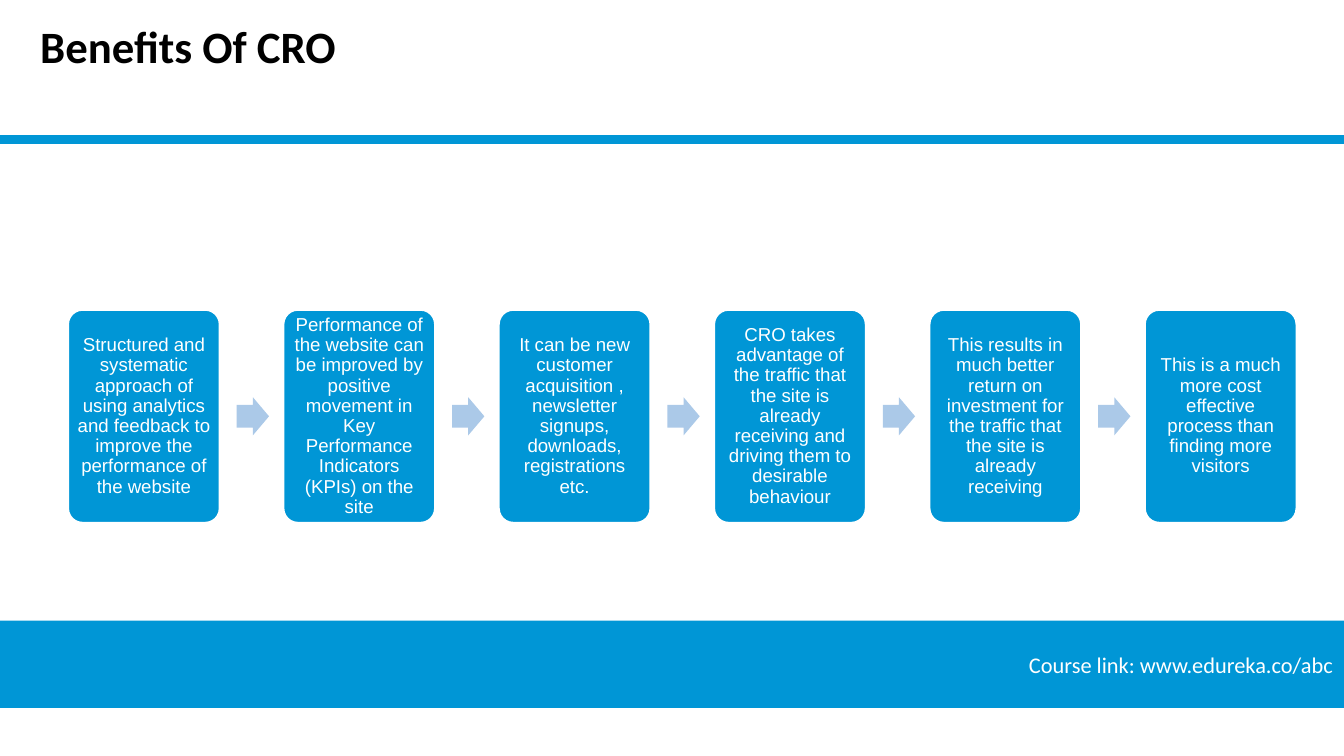
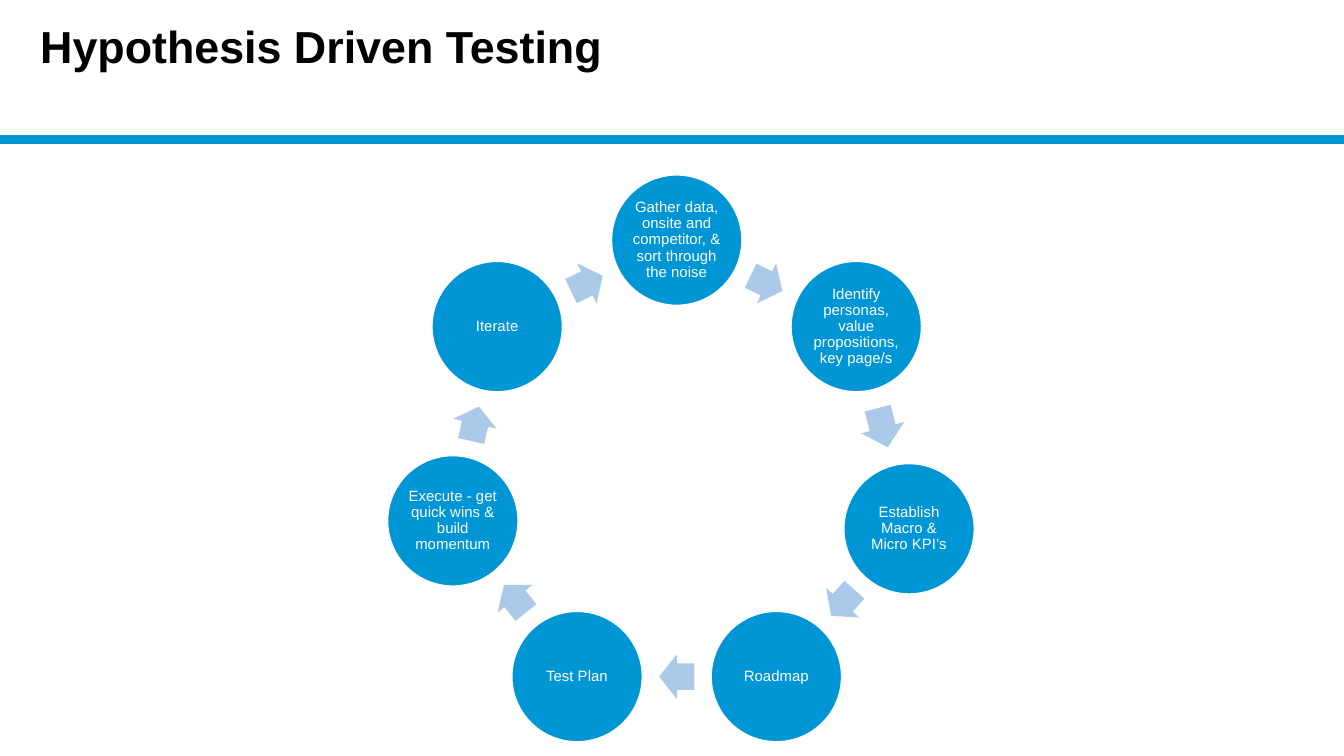
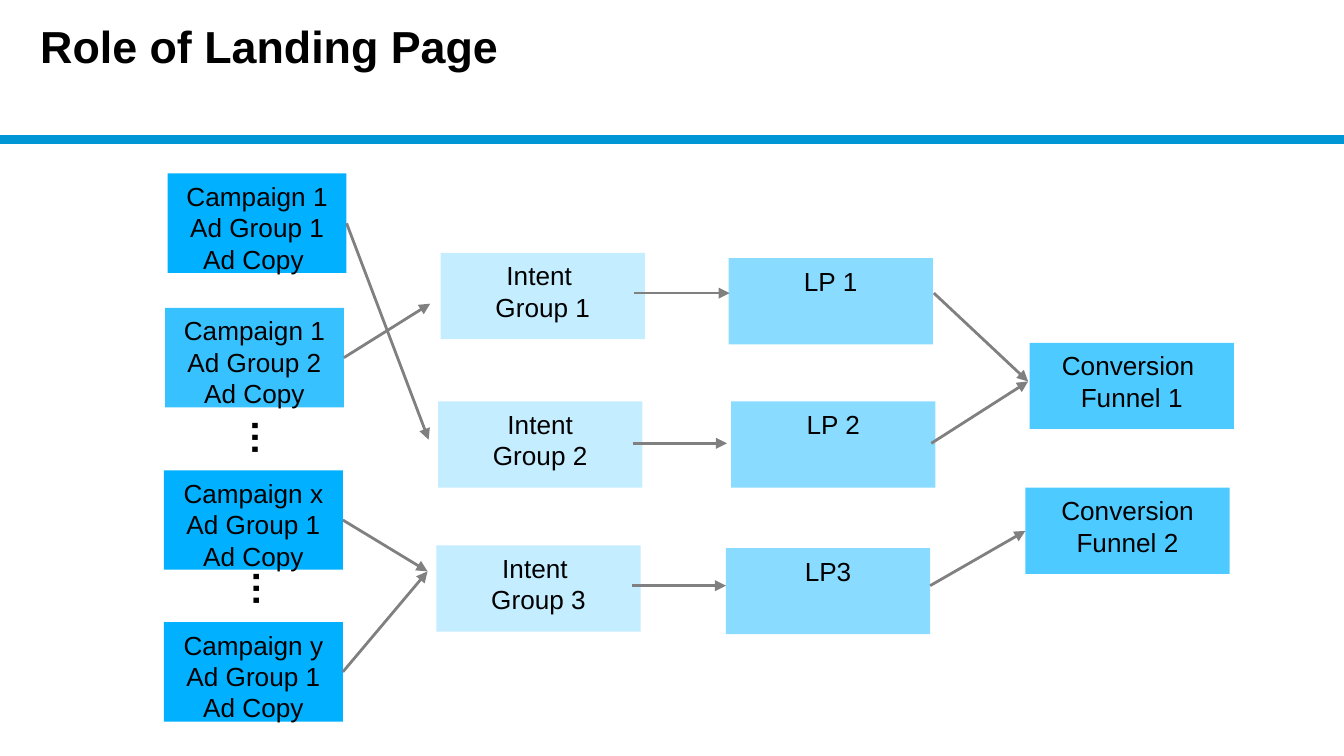
import math
from dataclasses import dataclass

import pptx
import pptx.dml.color
import pptx.enum.shapes
import pptx.enum.text
import pptx.oxml.ns
import pptx.util
from lxml import etree
from pptx.util import Cm

SHAPES = pptx.enum.shapes.MSO_SHAPE
ALIGN = pptx.enum.text.PP_ALIGN
ANCHOR = pptx.enum.text.MSO_ANCHOR
LEFT_SIDE, RIGHT_SIDE = 1, 3
SLIDE_WIDTH, SLIDE_HEIGHT = 25.4, 14.29


@dataclass(frozen=True)
class Theme:
    blue: str = "0096D6"
    pale_arrow: str = "ABC9E8"
    grey: str = "808080"
    white: str = "FFFFFF"
    black: str = "000000"
    campaign: str = "01B0FF"
    campaign_light: str = "37C1FF"
    intent: str = "C4EDFF"
    landing: str = "89DCFF"
    funnel: str = "4DCAFF"
    body_font: str = "Arial"
    accent_font: str = "Calibri"
    title_size: int = 24
    dots_size: int = 20
    flow_size: int = 14
    footer_size: int = 12
    step_size: int = 10
    cycle_size: int = 8


def rgb(color):
    return pptx.dml.color.RGBColor.from_string(color)


class Deck:
    def __init__(self, theme):
        self.theme = theme
        self.presentation = pptx.Presentation()
        self.presentation.slide_width = Cm(SLIDE_WIDTH)
        self.presentation.slide_height = Cm(SLIDE_HEIGHT)
        self.slide = None

    def start_slide(self, title, font=None, title_width=22.56):
        """Add a slide with its title and the rule below it."""
        self.slide = self.presentation.slides.add_slide(self.presentation.slide_layouts[6])
        box = self.slide.shapes.add_textbox(Cm(0.51), Cm(0.23), Cm(title_width), Cm(1.19))
        box.text_frame.word_wrap = True
        self.set_text(box, title, self.theme.title_size, self.theme.black, font, bold=True)
        self.line((0, 2.64), (SLIDE_WIDTH, 2.64), self.theme.blue, 4.5)

    def set_text(self, shape, text, size, color, font=None, align=ALIGN.LEFT, bold=False, spacing=None):
        shape.text_frame.text = text
        for paragraph in shape.text_frame.paragraphs:
            paragraph.alignment = align
            paragraph.line_spacing = spacing
            for run in paragraph.runs:
                run.font.name = font or self.theme.body_font
                run.font.size = pptx.util.Pt(size)
                run.font.bold = bold
                run.font.color.rgb = rgb(color)

    def shape(self, kind, left, top, width, height, fill, outline=None, adjustments=(), rotation=0):
        shape = self.slide.shapes.add_shape(kind, Cm(left), Cm(top), Cm(width), Cm(height))
        shape.shadow.inherit = False
        shape.fill.solid()
        shape.fill.fore_color.rgb = rgb(fill)
        if outline:
            shape.line.color.rgb = rgb(outline)
            shape.line.width = pptx.util.Pt(2)
        else:
            shape.line.fill.background()
        for index, value in enumerate(adjustments):
            shape.adjustments[index] = value
        shape.rotation = rotation
        return shape

    def inset(self, shape, across, down, anchor=ANCHOR.MIDDLE):
        """Set the text margins and the vertical anchor of a shape."""
        frame = shape.text_frame
        frame.word_wrap = True
        frame.margin_left = frame.margin_right = Cm(across)
        frame.margin_top = frame.margin_bottom = Cm(down)
        frame.vertical_anchor = anchor

    def node(self, kind, left, top, width, height, text, size, margin, adjustments=()):
        """Add a white-edged blue step with centred text."""
        shape = self.shape(kind, left, top, width, height, self.theme.blue, self.theme.white, adjustments)
        self.inset(shape, margin, margin)
        self.set_text(shape, text, size, self.theme.white, align=ALIGN.CENTER, spacing=0.9)

    def block_arrow(self, center_x, center_y, width, height, rotation=0):
        self.shape(SHAPES.RIGHT_ARROW, center_x - width / 2, center_y - height / 2, width, height,
                   self.theme.pale_arrow, adjustments=(0.6, 0.5), rotation=rotation)

    def flow_box(self, left, top, width, height, fill, text):
        shape = self.shape(SHAPES.RECTANGLE, left, top, width, height, fill)
        self.inset(shape, 0.25, 0.13, ANCHOR.TOP)
        self.set_text(shape, text, self.theme.flow_size, self.theme.black, align=ALIGN.CENTER)
        return shape

    def line(self, start, end, color, width, arrow=False):
        connector = self.slide.shapes.add_connector(
            pptx.enum.shapes.MSO_CONNECTOR.STRAIGHT, *(Cm(value) for value in (*start, *end)))
        connector.line.color.rgb = rgb(color)
        connector.line.width = pptx.util.Pt(width)
        properties = connector.element.spPr
        if arrow:
            etree.SubElement(properties.get_or_add_ln(), pptx.oxml.ns.qn("a:tailEnd"), type="triangle")
        etree.SubElement(properties, pptx.oxml.ns.qn("a:effectLst"))
        return connector

    def flow_arrow(self, start, end):
        return self.line(start, end, self.theme.grey, 1.5, arrow=True)

    def vertical_dots(self, left, top):
        box = self.slide.shapes.add_textbox(Cm(left), Cm(top), Cm(0.66), Cm(1.27))
        self.inset(box, 0.13, 0.13, ANCHOR.TOP)
        box.text_frame.word_wrap = False
        box.text_frame.auto_size = pptx.enum.text.MSO_AUTO_SIZE.SHAPE_TO_FIT_TEXT
        box.element.xpath("./p:txBody/a:bodyPr")[0].set("vert", "vert270")
        self.set_text(box, "…", self.theme.dots_size, self.theme.black, bold=True)

    def footer(self, text):
        band = self.shape(SHAPES.RECTANGLE, 0, 11.73, SLIDE_WIDTH, 1.65, self.theme.blue)
        self.inset(band, 0.2, 0.1)
        self.set_text(band, text, self.theme.footer_size, self.theme.white, self.theme.accent_font, ALIGN.RIGHT)


def add_benefits(deck):
    deck.start_slide("Benefits Of CRO", deck.theme.accent_font, title_width=24.89)
    deck.footer("Course link: www.edureka.co/abc")
    benefits = [
        "Structured and systematic approach of using analytics and feedback to improve the performance of the website",
        "Performance of the website can be improved by positive movement in Key Performance Indicators (KPIs) on the site",
        "It can be new customer acquisition , newsletter signups, downloads, registrations etc.",
        "CRO takes advantage of the traffic that the site is already receiving and driving them to desirable behaviour",
        "This results in much better return on investment for the traffic that the site is already receiving",
        "This is a much more cost effective process than finding more visitors",
    ]
    pitch, width, height, top = 4.07, 2.9, 4.06, 5.84
    for index, benefit in enumerate(benefits):
        left = 1.27 + index * pitch
        if index:
            deck.block_arrow(left - 0.56, top + height / 2, 0.61, 0.72)
        deck.node(SHAPES.ROUNDED_RECTANGLE, left, top, width, height, benefit,
                  deck.theme.step_size, 0.1, adjustments=(0.1,))


def add_testing_cycle(deck):
    deck.start_slide("Hypothesis Driven Testing")
    steps = [
        "Gather data, onsite and competitor, & sort through the noise",
        "Identify personas, value propositions, key page/s",
        "Establish Macro & Micro KPI’s",
        "Roadmap",
        "Test Plan",
        "Execute - get quick wins & build momentum",
        "Iterate",
    ]
    nudges = {2: (0.16, 0.15)}
    radius, diameter = 4.34, 2.51
    centers = []
    for index in range(len(steps)):
        angle = math.tau * index / len(steps)
        shift_x, shift_y = nudges.get(index, (0, 0))
        centers.append((12.79 + radius * math.sin(angle) + shift_x,
                        8.88 - radius * math.cos(angle) + shift_y))
    for step, (x, y), (next_x, next_y) in zip(steps, centers, centers[1:] + centers[:1]):
        deck.node(SHAPES.OVAL, x - diameter / 2, y - diameter / 2, diameter, diameter, step,
                  deck.theme.cycle_size, 0.03)
        gap = math.hypot(next_x - x, next_y - y) - diameter
        direction = math.degrees(math.atan2(next_y - y, next_x - x)) % 360
        deck.block_arrow((x + next_x) / 2, (y + next_y) / 2, 0.53 * gap, 0.84, direction)


def add_landing_page_flow(deck):
    deck.start_slide("Role of Landing Page")
    theme = deck.theme
    campaigns = [
        (3.17, 3.28, theme.campaign, "Campaign 1\nAd Group 1\nAd Copy ", (8.1, 8.31)),
        (3.12, 5.82, theme.campaign_light, "Campaign 1\nAd Group 2\nAd Copy", (8.13, 5.74)),
        (3.1, 8.89, theme.campaign, "Campaign x\nAd Group 1\nAd Copy", (8.08, 10.8)),
        (3.1, 11.76, theme.campaign, "Campaign y\nAd Group 1\nAd Copy", (8.08, 10.8)),
    ]
    for left, top, fill, text, target in campaigns:
        campaign = deck.flow_box(left, top, 3.38, 1.88, fill, text)
        deck.flow_arrow((left + 3.38, top + 0.94), target).begin_connect(campaign, RIGHT_SIDE)
    deck.vertical_dots(4.04, 7.49)
    deck.vertical_dots(4.06, 10.34)

    stages = [
        (8.33, 4.78, theme.intent, "Intent \nGroup 1"),
        (8.28, 7.59, theme.intent, "Intent\nGroup 2"),
        (8.25, 10.31, theme.intent, "Intent \nGroup 3"),
        (13.77, 4.88, theme.landing, "LP 1"),
        (13.82, 7.59, theme.landing, "LP 2"),
        (13.72, 10.36, theme.landing, "LP3"),
        (19.46, 6.48, theme.funnel, "Conversion \nFunnel 1"),
        (19.38, 9.22, theme.funnel, "Conversion Funnel 2"),
    ]
    for left, top, fill, text in stages:
        last_funnel = deck.flow_box(left, top, 3.86, 1.63, fill, text)

    rows = [
        (5.54, 11.99, 13.79, 17.65, (19.43, 7.21)),
        (8.38, 11.96, 13.74, 17.6, (19.43, 7.21)),
        (11.07, 11.94, 13.72, 17.58, (19.38, 10.03)),
    ]
    for y, intent_x, landing_x, exit_x, funnel_point in rows:
        deck.flow_arrow((intent_x, y), (landing_x, y))
        to_funnel = deck.flow_arrow((exit_x, y), funnel_point)
    to_funnel.end_connect(last_funnel, LEFT_SIDE)


def main():
    deck = Deck(Theme())
    add_benefits(deck)
    add_testing_cycle(deck)
    add_landing_page_flow(deck)
    deck.presentation.save("out.pptx")


if __name__ == "__main__":
    main()
